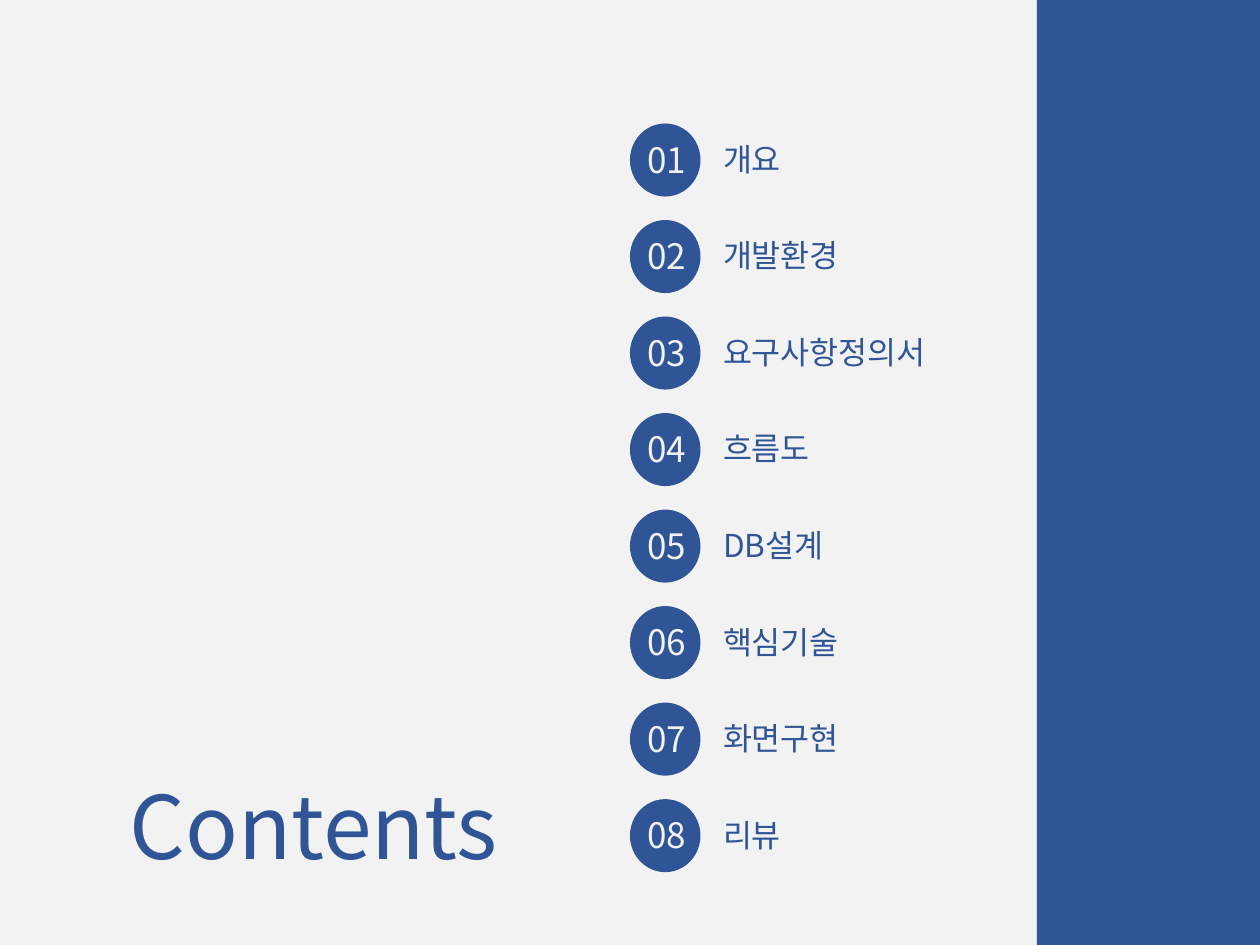
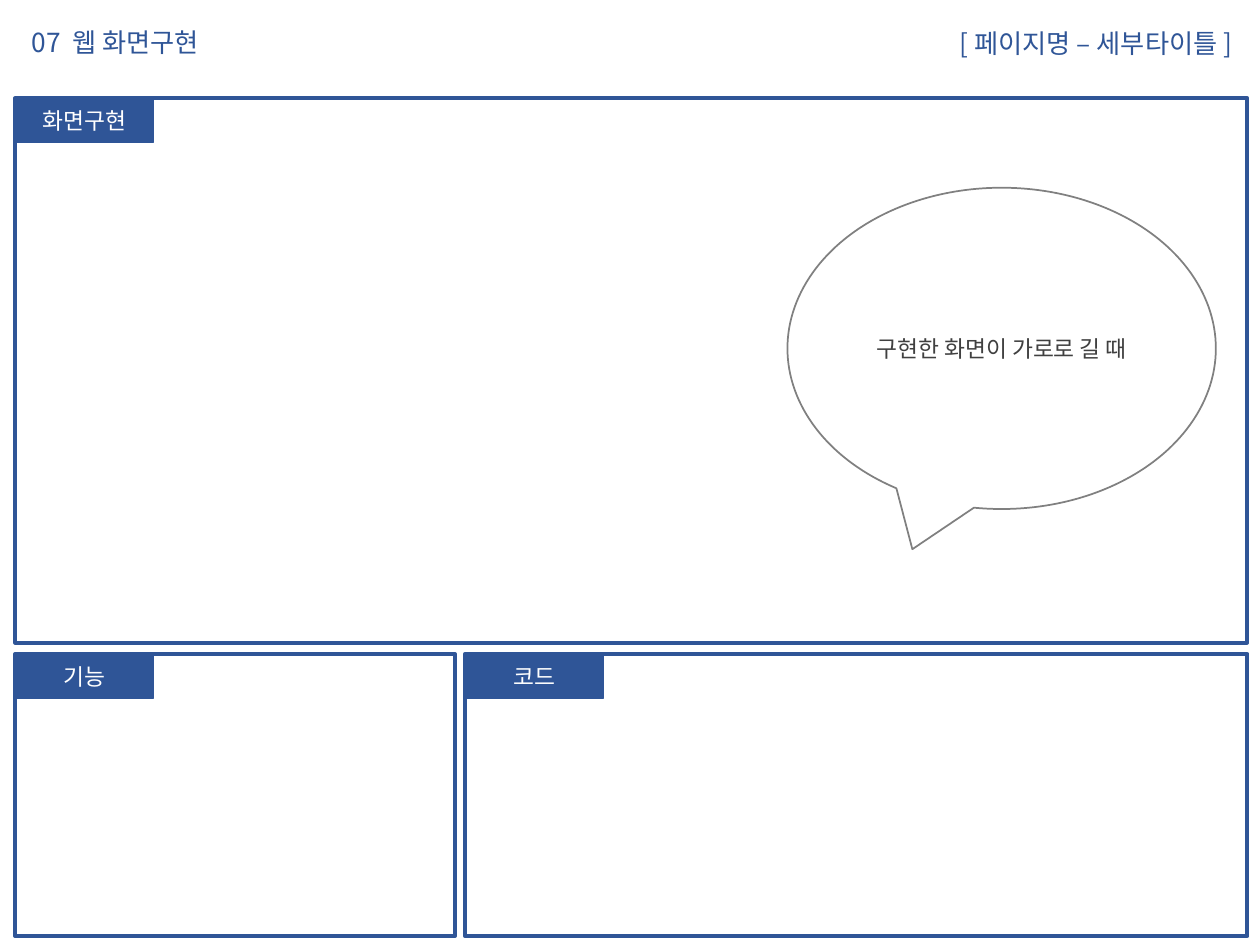
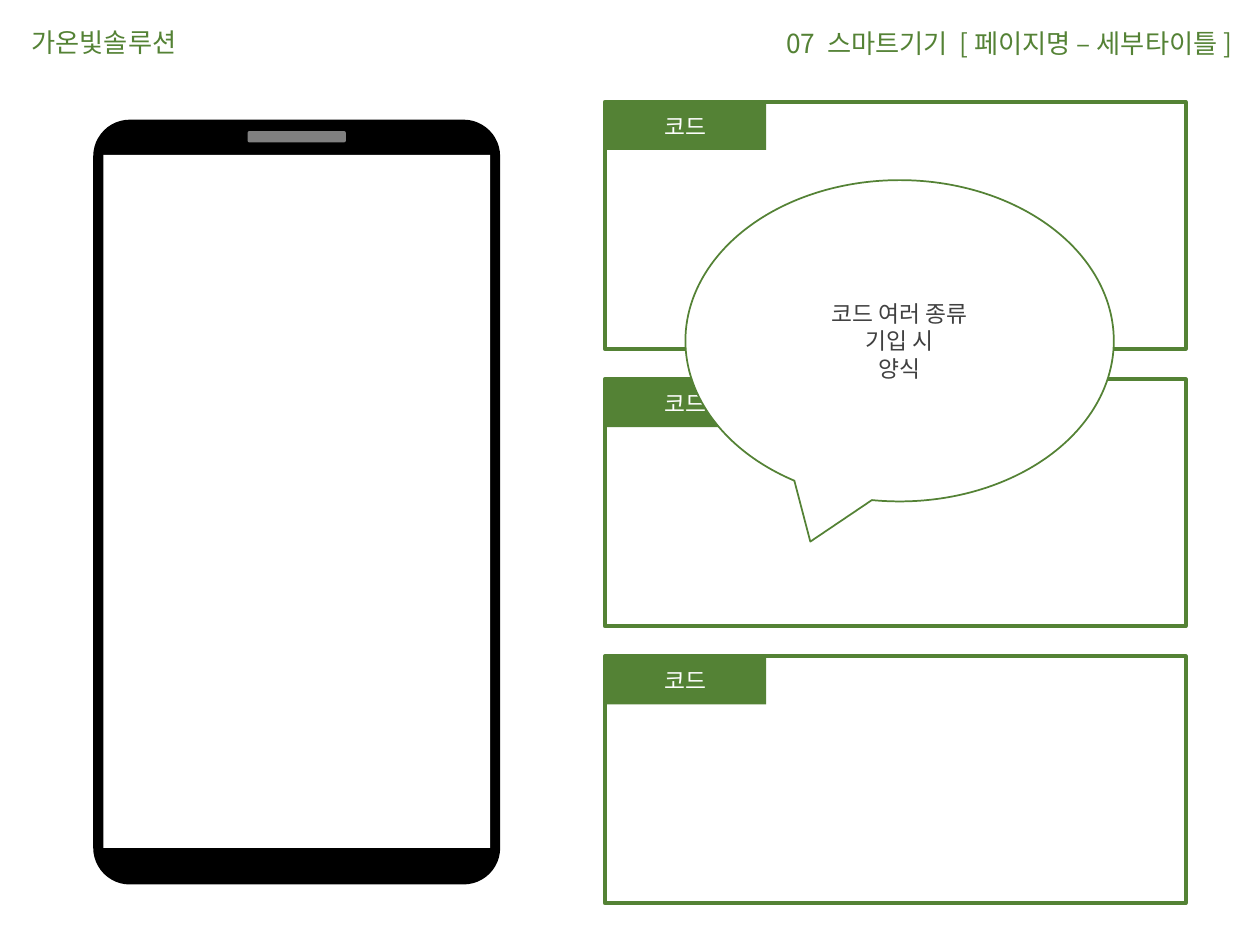
import dataclasses

import pptx
import pptx.dml.color
import pptx.enum.shapes
import pptx.enum.text
import pptx.oxml
import pptx.oxml.ns
import pptx.util

SHAPE = pptx.enum.shapes.MSO_SHAPE
ALIGN = pptx.enum.text.PP_ALIGN
ANCHOR = pptx.enum.text.MSO_ANCHOR
AUTO_SIZE = pptx.enum.text.MSO_AUTO_SIZE

SLIDE_WIDTH = pptx.util.Inches(10)
SLIDE_HEIGHT = pptx.util.Inches(7.5)
COLUMNS, ROWS = 100, 75


@dataclasses.dataclass(frozen=True)
class Theme:
    font: str = "Noto Sans CJK KR"
    blue: str = "2F5597"
    green: str = "548235"
    paper: str = "F2F2F2"
    white: str = "FFFFFF"
    black: str = "000000"
    grey: str = "808080"
    ink: str = "404040"
    cover_size: float = 50
    number_size: float = 20
    entry_size: float = 18
    header_size: float = 15
    body_size: float = 13
    frame_line: float = 2.25
    thin_line: float = 1
    gap_spacing: int = 340


THEME = Theme()


@dataclasses.dataclass(frozen=True)
class Box:
    """An area in columns and rows of the slide grid."""
    left: float
    top: float
    width: float
    height: float

    def inner(self, left, top, width, height):
        """Return an area whose left and top count from this box's corner."""
        return Box(self.left + left, self.top + top, width, height)

    def emu(self):
        column, row = SLIDE_WIDTH / COLUMNS, SLIDE_HEIGHT / ROWS
        return (round(self.left * column), round(self.top * row),
                round(self.width * column), round(self.height * row))


def rgb(color):
    return pptx.dml.color.RGBColor.from_string(color)


def style_run(run, size, color):
    run.font.size = pptx.util.Pt(size)
    run.font.color.rgb = rgb(color)
    run.font.name = THEME.font
    east_asian = pptx.oxml.parse_xml(
        f'<a:ea {pptx.oxml.ns.nsdecls("a")} typeface="{THEME.font}"/>')
    run.font._element.append(east_asian)


def write(frame, lines, size, color, align):
    """Write one paragraph per line; a line is a tuple of widely spaced phrases."""
    for index, phrases in enumerate(lines):
        paragraph = frame.add_paragraph() if index else frame.paragraphs[0]
        paragraph.text = phrases[0]
        for phrase in phrases[1:]:
            gap = paragraph.add_run()
            gap.text = " "
            gap.font._element.set("spc", str(THEME.gap_spacing))
            paragraph.add_run().text = phrase
        paragraph.alignment = align
        for run in paragraph.runs:
            style_run(run, size, color)


def fit(frame):
    frame.word_wrap = True
    frame.vertical_anchor = ANCHOR.TOP
    frame.auto_size = AUTO_SIZE.SHAPE_TO_FIT_TEXT


def add_label(slide, box, phrases, size, color, align=ALIGN.LEFT):
    label = slide.shapes.add_textbox(*box.emu())
    fit(label.text_frame)
    write(label.text_frame, [phrases], size, color, align)


def set_title(slide, box, phrases, size, color, align=ALIGN.LEFT):
    title = slide.shapes.title
    title.left, title.top, title.width, title.height = box.emu()
    fit(title.text_frame)
    write(title.text_frame, [phrases], size, color, align)


def add_block(shapes, kind, box, fill, line=None, line_width=THEME.thin_line):
    block = shapes.add_shape(kind, *box.emu())
    block.shadow.inherit = False
    block.fill.solid()
    block.fill.fore_color.rgb = rgb(fill)
    if line:
        block.line.color.rgb = rgb(line)
        block.line.width = pptx.util.Pt(line_width)
    else:
        block.line.fill.background()
    return block


def write_centred(block, lines, color):
    block.text_frame.word_wrap = True
    block.text_frame.vertical_anchor = ANCHOR.MIDDLE
    write(block.text_frame, [(line,) for line in lines],
          THEME.body_size, color, ALIGN.CENTER)


def add_panel(slide, box, heading, color, tab_width, tab_height, tab_line=None):
    """Draw a framed area with a heading tab in its top left corner."""
    add_block(slide.shapes, SHAPE.RECTANGLE, box, THEME.white, color, THEME.frame_line)
    tab = add_block(slide.shapes, SHAPE.RECTANGLE,
                    box.inner(0, 0, tab_width, tab_height), color, tab_line)
    write_centred(tab, [heading], THEME.white)


def add_callout(slide, box, lines, outline):
    callout = add_block(slide.shapes, SHAPE.OVAL_CALLOUT, box, THEME.white, outline)
    write_centred(callout, lines, THEME.ink)


def add_phone(slide, box):
    phone = slide.shapes.add_group_shape().shapes
    body = add_block(phone, SHAPE.ROUNDED_RECTANGLE, box, THEME.black)
    body.adjustments[0] = 0.09
    side, bezel = 0.8, 2.8
    screen = box.inner(side, bezel, box.width - 2 * side, box.height - 2 * bezel - 0.1)
    add_block(phone, SHAPE.RECTANGLE, screen, THEME.white)
    speaker_width = 7.8
    speaker = box.inner((box.width - speaker_width) / 2, 0.9, speaker_width, 0.9)
    add_block(phone, SHAPE.ROUNDED_RECTANGLE, speaker, THEME.grey)


def add_header(slide, title, page, color):
    set_title(slide, Box(1.5, 1.6, 29.4, 3.5), title, THEME.header_size, color)
    add_label(slide, Box(58.4, 1.7, 40.4, 3.5), page, THEME.header_size, color,
              ALIGN.RIGHT)


def add_entry(slide, box, number, topic):
    add_block(slide.shapes, SHAPE.OVAL, box.inner(0, 0, 5.6, 5.8), THEME.blue)
    add_label(slide, box.inner(-0.2, 0.67, 6.2, 4.4), (f"{number:02}",),
              THEME.number_size, THEME.paper, ALIGN.CENTER)
    add_label(slide, box.inner(6.4, 0.82, 21, 4), (topic,),
              THEME.entry_size, THEME.blue)


def build_contents(slide, topics):
    slide.background.fill.solid()
    slide.background.fill.fore_color.rgb = rgb(THEME.paper)
    add_block(slide.shapes, SHAPE.RECTANGLE, Box(82.3, 0, 17.7, ROWS), THEME.blue)
    set_title(slide, Box(7.1, 60.8, 35.6, 9.4), ("Contents",),
              THEME.cover_size, THEME.blue, ALIGN.CENTER)
    entries, pitch = Box(50, 9.8, 27.4, 59.4), 7.66
    for index, topic in enumerate(topics):
        row = entries.inner(0, index * pitch, entries.width, pitch)
        add_entry(slide, row, index + 1, topic)


def build_web_screen(slide):
    add_header(slide, ("07", "웹 화면구현"), ("[ 페이지명 – 세부타이틀 ]",), THEME.blue)
    area = Box(1.2, 7.8, 97.8, 66.5)
    lower_top, lower_height = 44.1, 22.4
    feature_width, code_left = 34.9, 35.7
    panels = {
        "화면구현": area.inner(0, 0, area.width, 43.2),
        "기능": area.inner(0, lower_top, feature_width, lower_height),
        "코드": area.inner(code_left, lower_top, area.width - code_left, lower_height),
    }
    for heading, box in panels.items():
        add_panel(slide, box, heading, THEME.blue, 11, 3.5, tab_line=THEME.blue)
    add_callout(slide, area.inner(61.3, 7.1, 34, 25.5),
                ["구현한 화면이 가로로 길 때"], THEME.grey)


def build_mobile_screen(slide):
    add_header(slide, ("가온빛솔루션",),
               ("07", "스마트기기", "[ 페이지명 – 세부타이틀 ]"), THEME.green)
    add_phone(slide, Box(7.4, 9.5, 32.3, 60.7))
    codes, pitch = Box(48, 8.1, 46.1, 63.6), 22
    for index in range(3):
        add_panel(slide, codes.inner(0, index * pitch, codes.width, 19.6),
                  "코드", THEME.green, 12.8, 3.8)
    add_callout(slide, codes.inner(6.4, 6.2, 34, 25.5),
                ["코드 여러 종류", "기입 시", "양식"], THEME.green)


def main():
    deck = pptx.Presentation()
    deck.slide_width, deck.slide_height = SLIDE_WIDTH, SLIDE_HEIGHT
    title_only = deck.slide_layouts[5]
    build_contents(deck.slides.add_slide(title_only),
                   ["개요", "개발환경", "요구사항정의서", "흐름도",
                    "DB설계", "핵심기술", "화면구현", "리뷰"])
    build_web_screen(deck.slides.add_slide(title_only))
    build_mobile_screen(deck.slides.add_slide(title_only))
    deck.save("out.pptx")


if __name__ == "__main__":
    main()
